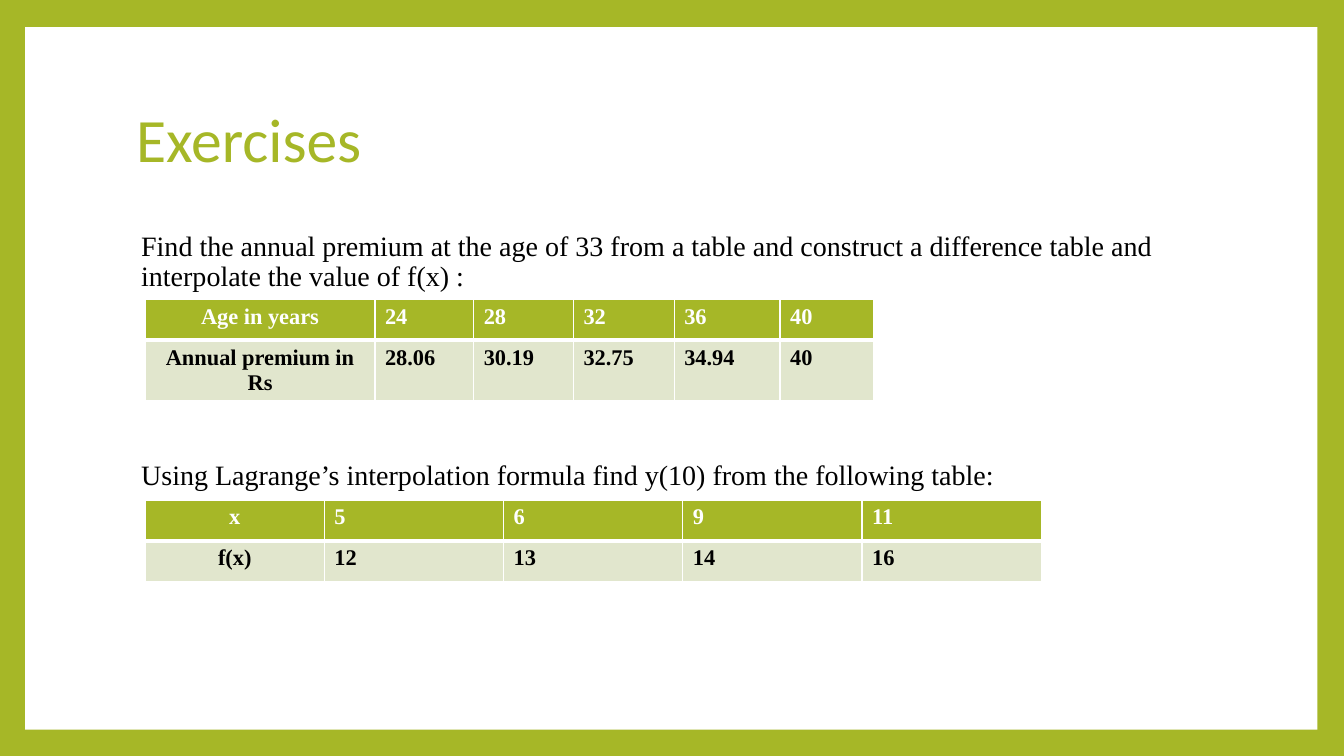
from dataclasses import dataclass
from typing import Any

from lxml.etree import SubElement
from pptx import Presentation
from pptx.dml.color import RGBColor
from pptx.enum.shapes import MSO_SHAPE
from pptx.enum.text import MSO_ANCHOR, MSO_AUTO_SIZE, PP_ALIGN
from pptx.oxml import parse_xml
from pptx.oxml.ns import nsdecls, qn
from pptx.util import Inches, Pt

SLIDE_WIDTH, SLIDE_HEIGHT = Inches(13.33), Inches(7.5)
GRID_COLUMNS, GRID_ROWS = 160, 90


@dataclass(frozen=True)
class Theme:
    green: RGBColor = RGBColor(0xA6, 0xB7, 0x27)
    pale: RGBColor = RGBColor(0xE1, 0xE6, 0xCD)
    white: RGBColor = RGBColor(0xFF, 0xFF, 0xFF)
    black: RGBColor = RGBColor(0x00, 0x00, 0x00)
    heading_font: str = "Calibri"
    text_font: str = "Times New Roman"
    heading_size: int = 44
    text_size: int = 20
    cell_size: int = 16
    thin_line: int = 1
    thick_line: int = 3


@dataclass(frozen=True)
class Area:
    column: float
    row: float
    columns: float
    rows: float

    def frame(self) -> dict[str, int]:
        return {
            "left": across(self.column),
            "top": down(self.row),
            "width": across(self.columns),
            "height": down(self.rows),
        }


@dataclass(frozen=True)
class Question:
    wording: str
    space_before: int
    table_row: float
    column_widths: tuple[float, ...]
    values: tuple[tuple[str, ...], ...]


THEME = Theme()
PANEL = Area(3, 3.24, 153.84, 83.64)
TITLE = Area(15, 8.04, 129.6, 17.76)
BODY = Area(15, 27, 129.6, 53.04)
TABLE_COLUMN = 17.28
TABLE_ROW_HEIGHT = 4.88
QUESTIONS = (
    Question(
        "Find the annual premium at the age of 33 from a table and construct "
        "a difference table and interpolate the value of f(x) :",
        0,
        35.64,
        (27.36, 11.76, 11.88, 12, 12.6, 11.16),
        (
            ("Age in years", "24", "28", "32", "36", "40"),
            ("Annual premium in Rs", "28.06", "30.19", "32.75", "34.94", "40"),
        ),
    ),
    Question(
        "Using Lagrange’s interpolation formula find y(10) from the following table:",
        121,
        59.52,
        (21.34,) * 5,
        (("x", "5", "6", "9", "11"), ("f(x)", "12", "13", "14", "16")),
    ),
)


def across(columns: float) -> int:
    return round(SLIDE_WIDTH * columns / GRID_COLUMNS)


def down(rows: float) -> int:
    return round(SLIDE_HEIGHT * rows / GRID_ROWS)


def apply(target: Any, formats: dict[str, Any]) -> None:
    for attribute, value in formats.items():
        setattr(target, attribute, value)


def style_font(font: Any, name: str, size: int, color: RGBColor, bold: bool = False) -> None:
    apply(font, {"name": name, "size": Pt(size), "bold": bold})
    font.color.rgb = color


def paint(fill: Any, color: RGBColor) -> None:
    fill.solid()
    fill.fore_color.rgb = color


def draw_panel(slide: Any) -> None:
    panel = slide.shapes.add_shape(MSO_SHAPE.RECTANGLE, **PANEL.frame())
    panel.shadow.inherit = False
    paint(panel.fill, THEME.white)
    panel.line.fill.background()
    slide.shapes.element.insert(2, panel.element)


def write_title(title: Any) -> None:
    apply(title, TITLE.frame())
    title.text_frame.text = "Exercises"
    apply(title.text_frame, {"vertical_anchor": MSO_ANCHOR.MIDDLE, "auto_size": MSO_AUTO_SIZE.NONE})
    heading = title.text_frame.paragraphs[0]
    apply(heading, {"alignment": PP_ALIGN.LEFT, "line_spacing": 0.9})
    style_font(heading.font, THEME.heading_font, THEME.heading_size, THEME.green)


def write_questions(body: Any) -> None:
    apply(body, BODY.frame())
    body.text_frame.text = "\n".join(question.wording for question in QUESTIONS)
    apply(body.text_frame, {"vertical_anchor": MSO_ANCHOR.TOP, "auto_size": MSO_AUTO_SIZE.NONE})
    for paragraph, question in zip(body.text_frame.paragraphs, QUESTIONS):
        properties = paragraph._p.get_or_add_pPr()
        properties.set("marL", str(Inches(0.05)))
        properties.set("indent", "0")
        SubElement(properties, qn("a:buNone"))
        apply(paragraph, {"line_spacing": 0.9, "space_before": Pt(question.space_before)})
        style_font(paragraph.font, THEME.text_font, THEME.text_size, THEME.black)


def border_cell(cell: Any, is_header: bool) -> None:
    widths = {
        "lnL": THEME.thin_line,
        "lnR": THEME.thin_line,
        "lnT": THEME.thin_line if is_header else THEME.thick_line,
        "lnB": THEME.thick_line if is_header else THEME.thin_line,
    }
    properties = cell._tc.get_or_add_tcPr()
    for position, (edge, width) in enumerate(widths.items()):
        border = parse_xml(
            f'<a:{edge} {nsdecls("a")} w="{Pt(width)}"><a:solidFill>'
            f'<a:srgbClr val="{THEME.white}"/></a:solidFill></a:{edge}>'
        )
        properties.insert(position, border)


def draw_table(slide: Any, question: Question) -> None:
    row_count, column_count = len(question.values), len(question.column_widths)
    area = Area(
        TABLE_COLUMN,
        question.table_row,
        sum(question.column_widths),
        row_count * TABLE_ROW_HEIGHT,
    )
    table = slide.shapes.add_table(row_count, column_count, **area.frame()).table
    for column, width in zip(table.columns, question.column_widths):
        column.width = across(width)
    for row_index, entries in enumerate(question.values):
        is_header = row_index == 0
        for column_index, entry in enumerate(entries):
            cell = table.cell(row_index, column_index)
            cell.text = entry
            paint(cell.fill, THEME.green if is_header else THEME.pale)
            border_cell(cell, is_header)
            paragraph = cell.text_frame.paragraphs[0]
            paragraph.alignment = PP_ALIGN.LEFT if column_index else PP_ALIGN.CENTER
            color = THEME.white if is_header else THEME.black
            style_font(paragraph.font, THEME.text_font, THEME.cell_size, color, bold=True)


def main() -> None:
    presentation = Presentation()
    apply(presentation, {"slide_width": SLIDE_WIDTH, "slide_height": SLIDE_HEIGHT})
    slide = presentation.slides.add_slide(presentation.slide_layouts[1])
    paint(slide.background.fill, THEME.green)
    draw_panel(slide)
    write_title(slide.shapes.title)
    write_questions(slide.placeholders[1])
    for question in QUESTIONS:
        draw_table(slide, question)
    presentation.save("out.pptx")


if __name__ == "__main__":
    main()
